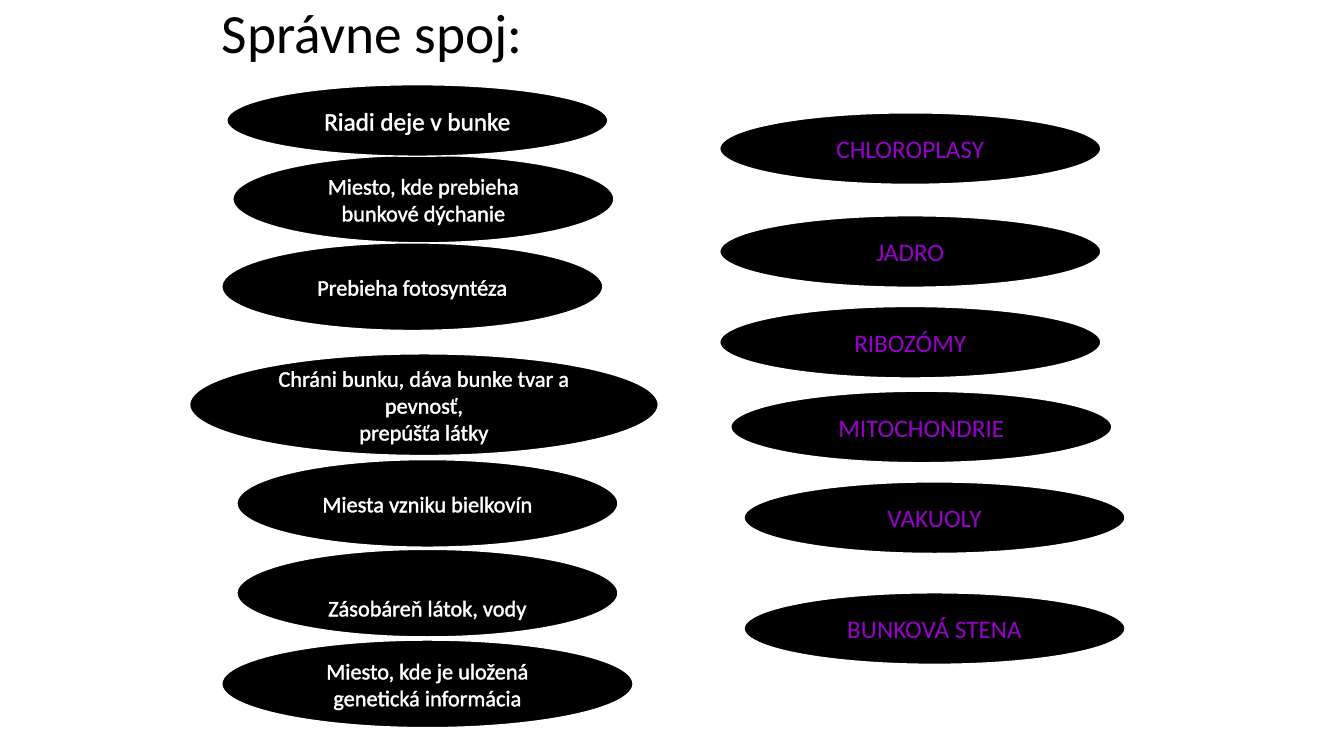
from lxml import etree
from pptx import Presentation
from pptx import util as u
from pptx.dml.color import RGBColor
from pptx.enum import shapes, text
from pptx.oxml import ns

BLACK = RGBColor(0, 0, 0)
WHITE = RGBColor(255, 255, 255)
PURPLE = RGBColor(0x99, 0x00, 0xCC)

ORGANELLE_WIDTH = 272.2
ORGANELLE_HEIGHT = 51.1
FUNCTION_HEIGHT = 62.6

FUNCTIONS = [
    (166.3, 110.9, 272.2, FUNCTION_HEIGHT, 16, 3.6, ["Miesto, kde prebieha bunkové dýchanie"]),
    (158.4, 173.5, 272.2, FUNCTION_HEIGHT, 16, 3.6, ["Prebieha fotosyntéza"]),
    (135.4, 252.7, 334.8, 72.7, 16, 3.6,
     ["Chráni bunku, dáva bunke tvar a pevnosť,", "prepúšťa látky"]),
    (169.2, 328.3, 272.2, FUNCTION_HEIGHT, 16, 3.6, ["Miesta vzniku bielkovín"]),
    (169.2, 392.4, 272.2, FUNCTION_HEIGHT, 16, 24, ["Zásobáreň látok, vody"]),
    (158.4, 457.2, 293.8, FUNCTION_HEIGHT, 16, 3.6,
     ["Miesto, kde je uložená genetická informácia"]),
    (162, 60.5, 272.2, ORGANELLE_HEIGHT, 18, 3.6, ["Riadi deje v bunke"]),
]

ORGANELLES = [
    (514.1, 80.6, "CHLOROPLASY"),
    (514.1, 154.1, "JADRO"),
    (514.1, 218.9, "RIBOZÓMY"),
    (522, 279.4, "MITOCHONDRIE"),
    (531.4, 344.2, "VAKUOLY"),
    (531.4, 423.4, "BUNKOVÁ STENA"),
]


class MatchingSlide:
    font = "Calibri"

    def __init__(self, deck):
        self.slide = deck.slides.add_slide(deck.slide_layouts[5])

    def styled_run(self, paragraph, wording, size, color):
        run = paragraph.add_run()
        run.text = wording
        run.font.name = self.font
        run.font.size = u.Pt(size)
        run.font.color.rgb = color
        return run

    def outline(self, run):
        line = etree.Element(ns.qn("a:ln"), w=str(u.Pt(0.75)))
        fill = etree.SubElement(line, ns.qn("a:solidFill"))
        etree.SubElement(fill, ns.qn("a:srgbClr"), val=str(WHITE))
        run.font._element.insert(0, line)

    def title(self, wording, left, top, width, height):
        heading = self.slide.shapes.title
        heading.left, heading.top = u.Pt(left), u.Pt(top)
        heading.width, heading.height = u.Pt(width), u.Pt(height)
        frame = heading.text_frame
        frame.auto_size = text.MSO_AUTO_SIZE.NONE
        frame.vertical_anchor = text.MSO_ANCHOR.MIDDLE
        paragraph = frame.paragraphs[0]
        paragraph.alignment = text.PP_ALIGN.LEFT
        paragraph.line_spacing = 0.9
        self.styled_run(paragraph, wording, 39.6, BLACK)

    def ellipse(self, left, top, width, height, size, inset_top, lines, color):
        oval = self.slide.shapes.add_shape(
            shapes.MSO_SHAPE.OVAL, u.Pt(left), u.Pt(top), u.Pt(width), u.Pt(height))
        oval.shadow.inherit = False
        oval.fill.solid()
        oval.fill.fore_color.rgb = BLACK
        oval.line.color.rgb = WHITE
        oval.line.width = u.Pt(1)
        frame = oval.text_frame
        frame.word_wrap = True
        frame.vertical_anchor = text.MSO_ANCHOR.MIDDLE
        frame.margin_top = u.Pt(inset_top)
        for index, wording in enumerate(lines):
            paragraph = frame.add_paragraph() if index else frame.paragraphs[0]
            paragraph.alignment = text.PP_ALIGN.CENTER
            self.outline(self.styled_run(paragraph, wording, size, color))


def main():
    deck = Presentation()
    deck.slide_width, deck.slide_height = u.Pt(960), u.Pt(540)
    matching = MatchingSlide(deck)
    matching.title("Správne spoj:", 151.2, 15.1, 597.6, 20.9)
    for function in FUNCTIONS:
        matching.ellipse(*function, WHITE)
    for left, top, organelle in ORGANELLES:
        matching.ellipse(left, top, ORGANELLE_WIDTH, ORGANELLE_HEIGHT,
                         18, 3.6, [organelle], PURPLE)
    deck.save("out.pptx")


if __name__ == "__main__":
    main()
